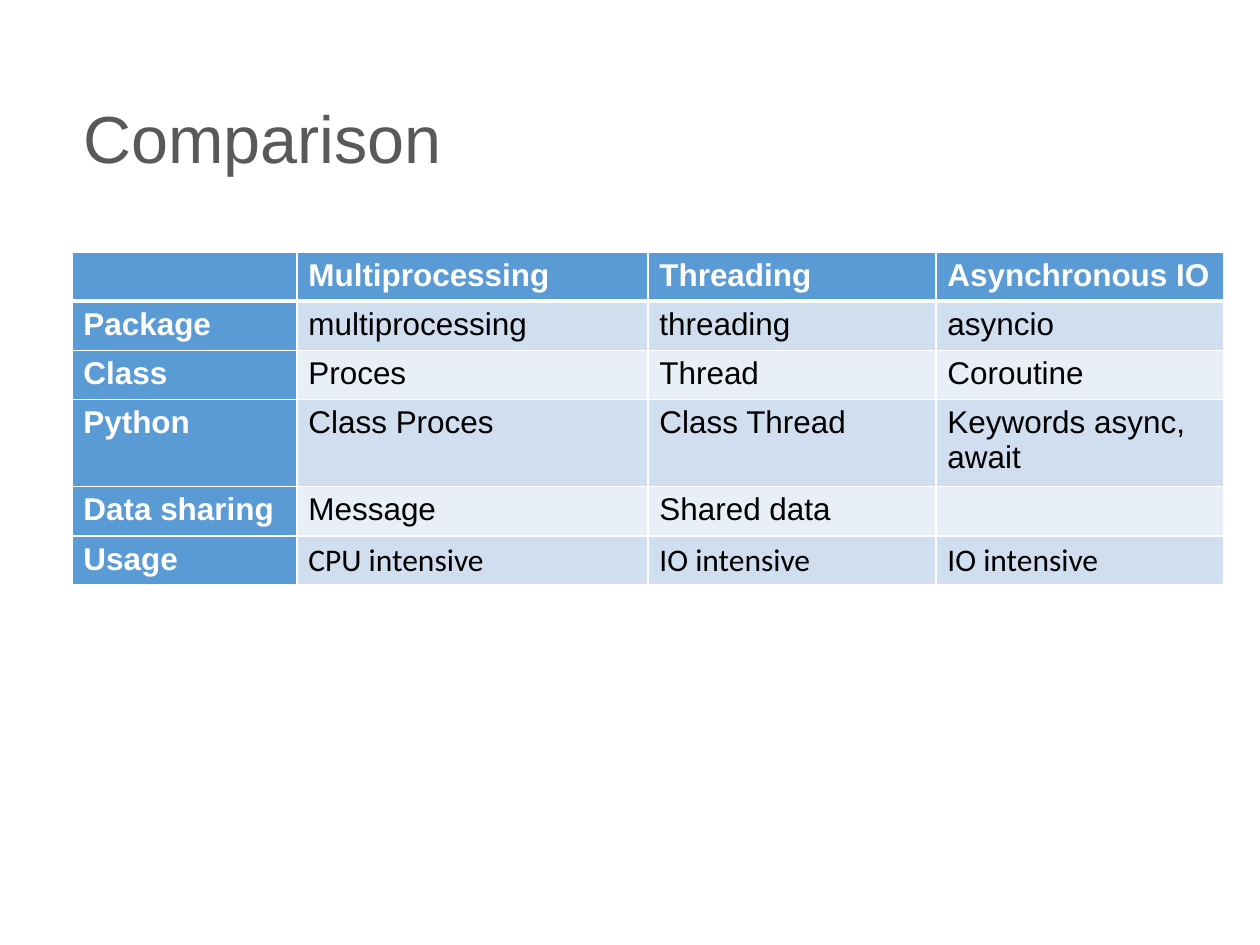
from pptx import Presentation
from pptx.dml.color import RGBColor as RGB
from pptx.enum.text import MSO_ANCHOR as Anchor
from pptx.oxml.ns import qn
from pptx.util import Cm, Pt
from lxml.etree import SubElement as Sub

WHITE = RGB(0xFF, 0xFF, 0xFF)
BLACK = RGB(0x00, 0x00, 0x00)
GREY = RGB(0x59, 0x59, 0x59)
BLUE = RGB(0x5B, 0x9B, 0xD5)
BANDS = RGB(0xD0, 0xDE, 0xEF), RGB(0xE9, 0xEF, 0xF7)

WIDTHS = 5, 7.8, 6.4, 6.4
HEIGHT = 1.04
ROWS = [
    ["", "Multiprocessing", "Threading", "Asynchronous IO"],
    ["Package", "multiprocessing", "threading", "asyncio"],
    ["Class", "Proces", "Thread", "Coroutine"],
    ["Python", "Class Proces", "Class Thread", "Keywords async, await"],
    ["Data sharing", "Message", "Shared data", ""],
    ["Usage", "CPU intensive", "IO intensive", "IO intensive"],
]


def add_run(para, text, size, color, bold=False, name="Arial"):
    run = para.add_run()
    run.text = text
    font = run.font
    font.size, font.bold, font.name = Pt(size), bold, name
    font.color.rgb = color


def add_title(slide, text):
    box = slide.shapes.add_textbox(Cm(1.6), Cm(1.12), Cm(24.8), Cm(4.06))
    frame = box.text_frame
    frame.word_wrap = True
    frame.vertical_anchor = Anchor.MIDDLE
    para = frame.paragraphs[0]
    para.line_spacing = 0.9
    add_run(para, text, 41.9, GREY)


def add_edges(cell, top, bottom):
    # Borders come before the fill in the cell properties
    props = cell._tc.get_or_add_tcPr()
    for side, width in (("L", 1), ("R", 1), ("T", top), ("B", bottom)):
        line = Sub(props, qn("a:ln" + side), w=str(Pt(width)))
        fill = Sub(line, qn("a:solidFill"))
        Sub(fill, qn("a:srgbClr"), val=str(WHITE))


def fill_cell(cell, text, row, col):
    head = row == 0 or col == 0
    add_edges(cell, 3 if row == 1 else 1, 3 if row == 0 else 1)
    cell.fill.solid()
    cell.fill.fore_color.rgb = BLUE if head else BANDS[(row - 1) % 2]
    if text:
        usage = row == len(ROWS) - 1 and not head
        add_run(cell.text_frame.paragraphs[0], text, 19.8,
                WHITE if head else BLACK, head,
                "Calibri" if usage else "Arial")


def add_grid(slide):
    frame = slide.shapes.add_table(
        len(ROWS), len(WIDTHS), Cm(1.6), Cm(5.6),
        Cm(sum(WIDTHS)), Cm(HEIGHT * len(ROWS)))
    table = frame.table
    table.first_col = True
    for col, width in zip(table.columns, WIDTHS):
        col.width = Cm(width)
    for r, texts in enumerate(ROWS):
        table.rows[r].height = Cm(HEIGHT)
        for c, text in enumerate(texts):
            fill_cell(table.cell(r, c), text, r, c)


def main():
    deck = Presentation()
    deck.slide_width, deck.slide_height = Cm(28), Cm(21)
    slide = deck.slides.add_slide(deck.slide_layouts[6])

    # Heading
    add_title(slide, "Comparison")

    # Comparison table
    add_grid(slide)

    deck.save("out.pptx")


if __name__ == "__main__":
    main()
